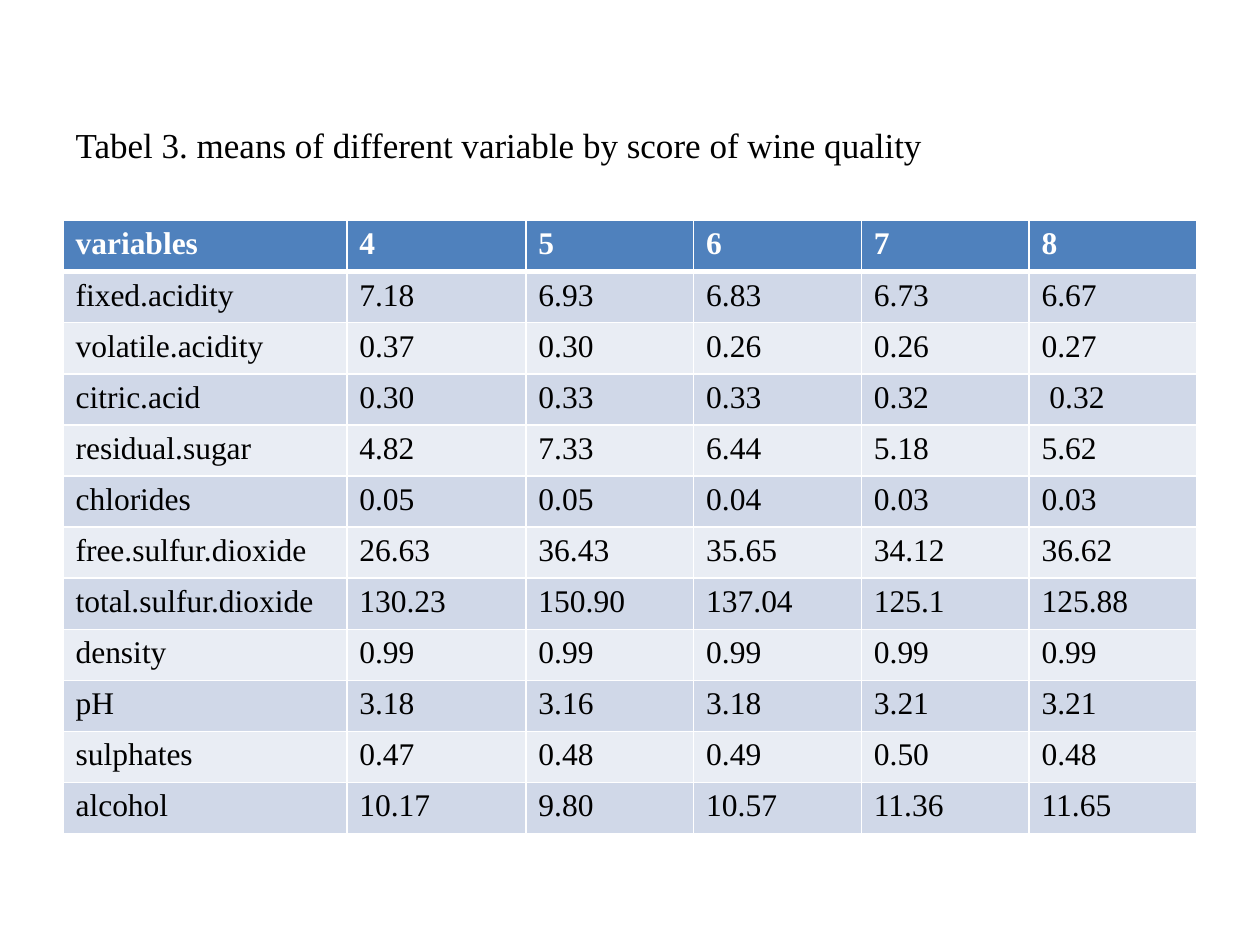
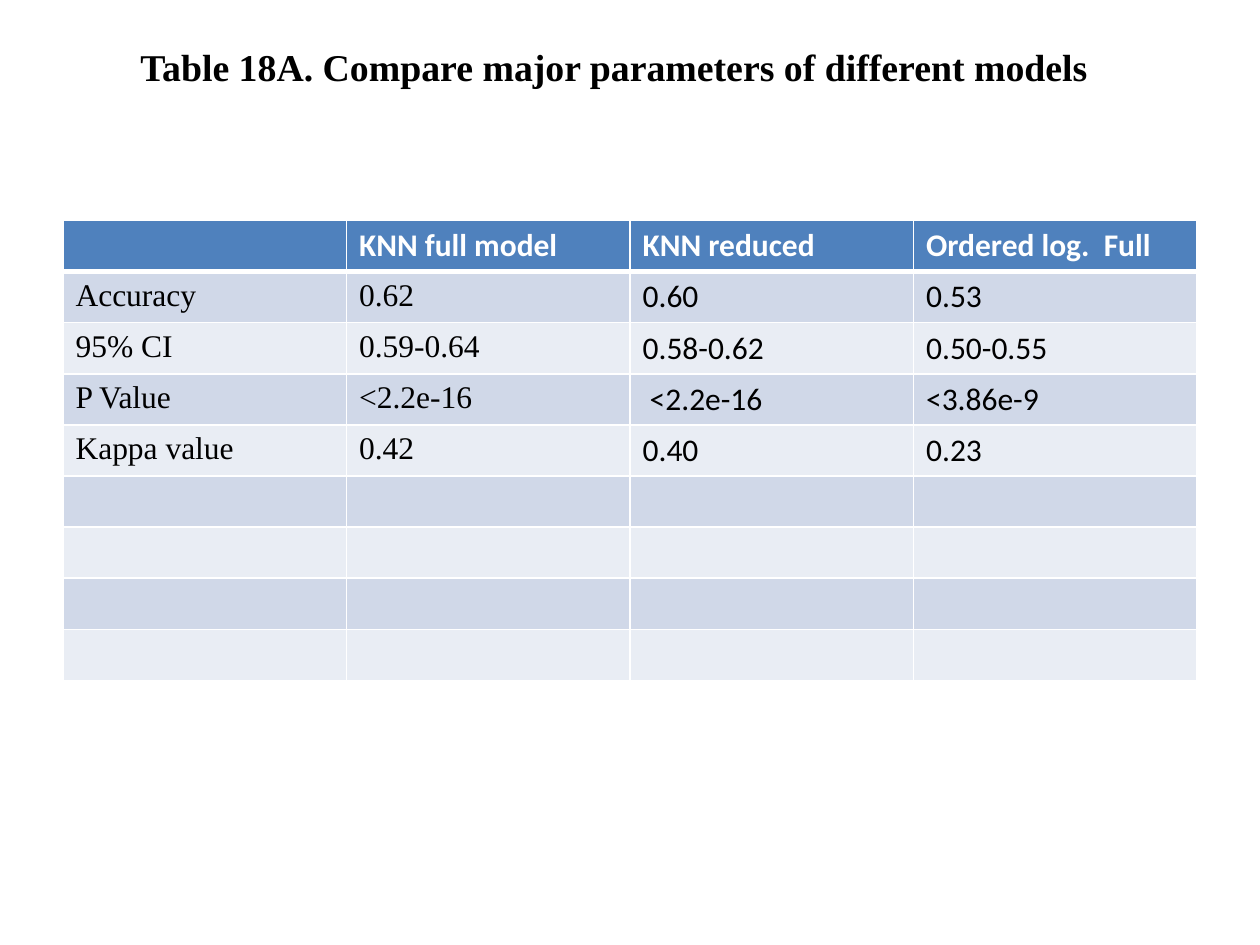
from lxml.etree import SubElement
from pptx import Presentation
from pptx.dml.color import RGBColor
from pptx.enum.text import MSO_ANCHOR, MSO_AUTO_SIZE, PP_ALIGN
from pptx.oxml.ns import qn
from pptx.util import Inches, Pt

COLORS = {"text": "000000", "white": "FFFFFF", "header": "4F81BD",
          "band": "D0D8E8", "band_light": "E9EDF4"}
SERIF, SANS = "Times New Roman", "Calibri"
SLIDE_W, SLIDE_H = Inches(10), Inches(7.5)
TABLE_LEFT, TABLE_TOP, TABLE_W = Inches(0.5), Inches(1.75), Inches(9)
ROW_H = Pt(29.2)
TITLE_ONLY = 5

WINE_MEANS = [
    ["variables", "4", "5", "6", "7", "8"],
    ["fixed.acidity", "7.18", "6.93", "6.83", "6.73", "6.67"],
    ["volatile.acidity", "0.37", "0.30", "0.26", "0.26", "0.27"],
    ["citric.acid", "0.30", "0.33", "0.33", "0.32", " 0.32"],
    ["residual.sugar", "4.82", "7.33", "6.44", "5.18", "5.62"],
    ["chlorides", "0.05", "0.05", "0.04", "0.03", "0.03"],
    ["free.sulfur.dioxide", "26.63", "36.43", "35.65", "34.12", "36.62"],
    ["total.sulfur.dioxide", "130.23", "150.90", "137.04", "125.1", "125.88"],
    ["density", "0.99", "0.99", "0.99", "0.99", "0.99"],
    ["pH", "3.18", "3.16", "3.18", "3.21", "3.21"],
    ["sulphates", "0.47", "0.48", "0.49", "0.50", "0.48"],
    ["alcohol", "10.17", "9.80", "10.57", "11.36", "11.65"],
]
MODELS = [
    ["", "KNN full model", "KNN reduced", "Ordered log.  Full"],
    ["Accuracy", "0.62", "0.60", "0.53"],
    ["95% CI", "0.59-0.64", "0.58-0.62", "0.50-0.55"],
    ["P Value", "<2.2e-16", " <2.2e-16", "<3.86e-9"],
    ["Kappa value", "0.42", "0.40", "0.23"],
] + [[""] * 4] * 4


def rgb(name):
    return RGBColor.from_string(COLORS[name])


def write(tf, text, size=18, font=SERIF, color="text", bold=False,
          align=PP_ALIGN.LEFT):
    p = tf.paragraphs[0]
    p.alignment = align
    p.font.size = Pt(size)
    if not text:
        return
    r = p.add_run()
    r.text = text
    r.font.size, r.font.name, r.font.bold = Pt(size), font, bold
    r.font.color.rgb = rgb(color)


def add_title(slide, text, box, **fmt):
    sp = slide.shapes.title
    sp.left, sp.top, sp.width, sp.height = (Inches(v) for v in box)
    tf = sp.text_frame
    tf.word_wrap = True
    tf.auto_size = MSO_AUTO_SIZE.NONE
    tf.vertical_anchor = MSO_ANCHOR.MIDDLE
    write(tf, text, **fmt)


def set_borders(cell, **widths):
    """Draw white cell edges; they must be set before the cell's fill."""
    tc_pr = cell._tc.get_or_add_tcPr()
    for side in "LRTB":
        ln = SubElement(tc_pr, qn(f"a:ln{side}"), w=str(Pt(widths.get(side, 1))))
        fill = SubElement(ln, qn("a:solidFill"))
        SubElement(fill, qn("a:srgbClr"), val=COLORS["white"])


def add_banded_table(slide, rows, col_shares, font_at):
    """Place a table; font_at(row, column) names the font of a cell."""
    table = slide.shapes.add_table(len(rows), len(col_shares), TABLE_LEFT, TABLE_TOP,
                                   TABLE_W, ROW_H * len(rows)).table
    table.first_row = True
    table.horz_banding = False
    for col, share in zip(table.columns, col_shares):
        col.width = int(TABLE_W * share / sum(col_shares))
    for i, values in enumerate(rows):
        table.rows[i].height = ROW_H
        header = i == 0
        fill = "header" if header else "band" if i % 2 else "band_light"
        for j, value in enumerate(values):
            cell = table.cell(i, j)
            set_borders(cell, B=3 if header else 1, T=3 if i == 1 else 1)
            cell.fill.solid()
            cell.fill.fore_color.rgb = rgb(fill)
            write(cell.text_frame, value, font=font_at(i, j), bold=header,
                  color="white" if header else "text")


def wine_means_slide(slide):
    add_title(slide, "Tabel 3. means of different variable by score of wine quality",
              (0.5, 0.75, 9, 0.8), size=20)
    add_banded_table(slide, WINE_MEANS, [2.25, 1.42] + [1.33] * 4,
                     lambda i, j: SERIF)


def model_comparison_slide(slide):
    add_title(slide, "Table 18A. Compare major parameters of different models",
              (0.25, 0.3, 9.25, 0.45), size=21.6, bold=True, align=PP_ALIGN.CENTER)
    add_banded_table(slide, MODELS, [1] * 4,
                     lambda i, j: SANS if i == 0 or j > 1 else SERIF)


def main():
    prs = Presentation()
    prs.slide_width, prs.slide_height = SLIDE_W, SLIDE_H
    for build in (wine_means_slide, model_comparison_slide):
        build(prs.slides.add_slide(prs.slide_layouts[TITLE_ONLY]))
    prs.save("out.pptx")


if __name__ == "__main__":
    main()
